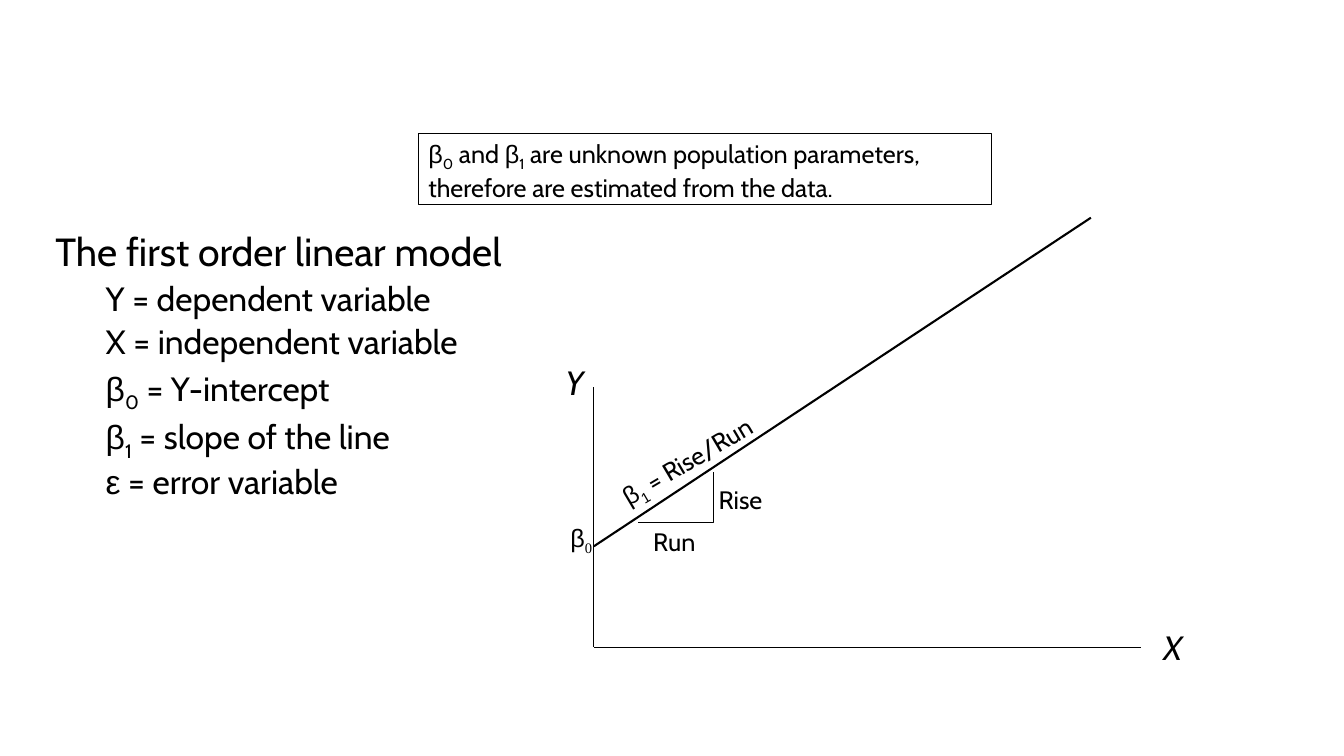
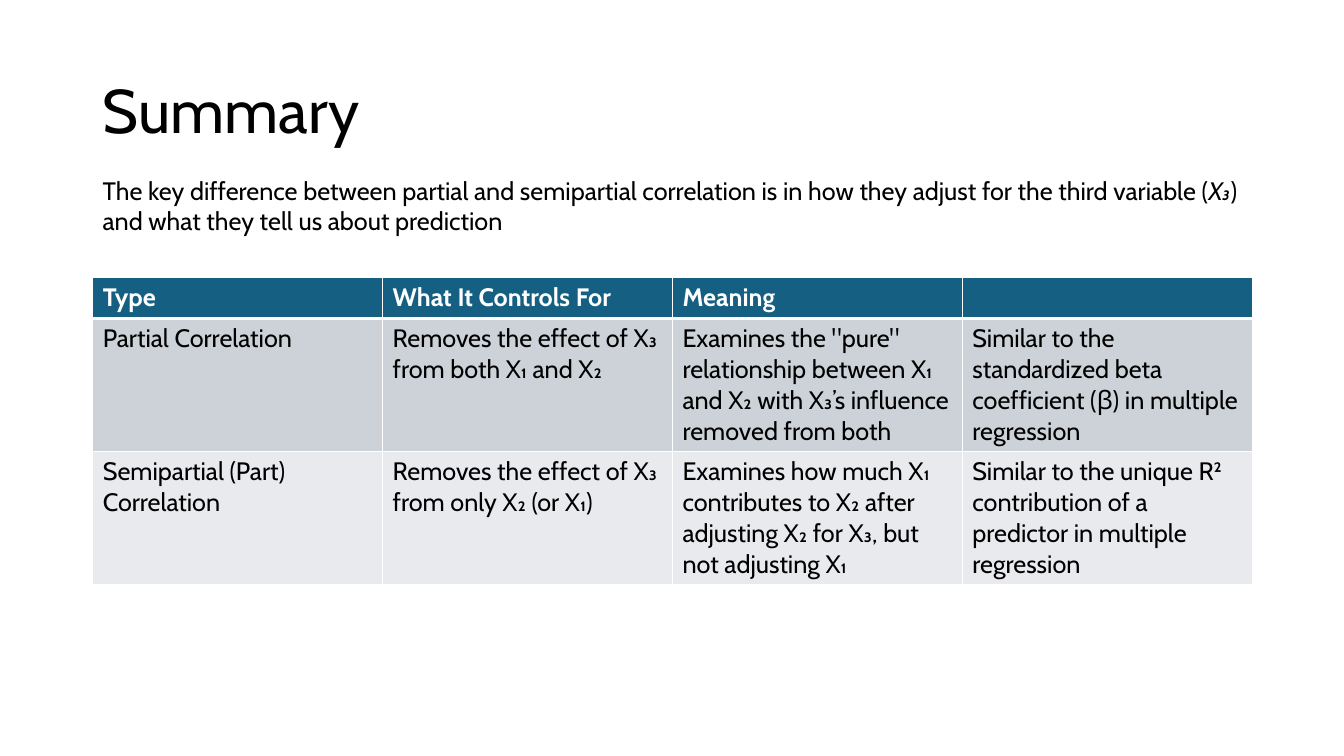
"""Build two slides on the linear model and on partial correlation."""
from dataclasses import dataclass

import pptx
import pptx.dml.color
import pptx.enum.shapes
import pptx.enum.text
import pptx.oxml
import pptx.oxml.ns
import pptx.shapes.connector
import pptx.slide
import pptx.table
import pptx.util
from lxml import etree

PX = 9144
BLACK = pptx.dml.color.RGBColor(0x00, 0x00, 0x00)
WHITE = pptx.dml.color.RGBColor(0xFF, 0xFF, 0xFF)
HEADER = pptx.dml.color.RGBColor(0x15, 0x60, 0x82)
BANDS = (
    pptx.dml.color.RGBColor(0xCC, 0xD2, 0xD8),
    pptx.dml.color.RGBColor(0xE8, 0xEA, 0xED),
)
CABIN = "Cabin"
ARIAL = "Arial"
SERIF = "Times New Roman"
TITLE_SIZE = 44
TEXT_SIZE = 18
AXIS_SIZE = 24
THIN = 0.75
MARGIN = 92
CONTENT_WIDTH = 1150


@dataclass(frozen=True)
class Span:
    text: str
    font: str = CABIN
    subscript: bool = False
    italic: bool = False
    bold: bool = False


@dataclass(frozen=True)
class Line:
    spans: tuple[Span, ...]
    size: int = TEXT_SIZE
    indent: int = 0
    before: int = 0
    spacing: float = 1.0
    color: pptx.dml.color.RGBColor = BLACK


@dataclass(frozen=True)
class TextBox:
    left: int
    top: int
    width: int
    height: int
    lines: tuple[Line, ...]
    wrap: bool = False
    rotation: float = 0
    outlined: bool = False
    middle: bool = False


@dataclass(frozen=True)
class Segment:
    start: tuple[int, int]
    end: tuple[int, int]
    weight: float = THIN


def px(length: int) -> pptx.util.Emu:
    return pptx.util.Emu(length * PX)


def beta(index: int, font: str = CABIN) -> tuple[Span, Span]:
    return Span("β", ARIAL), Span(str(index), font, subscript=True)


def label(*spans: Span, size: int = TEXT_SIZE) -> tuple[Line]:
    return (Line(spans, size),)


def variable(*spans: Span) -> Line:
    return Line(spans, AXIS_SIZE, indent=50, before=5, spacing=0.9)


ORIGIN = (589, 642)
AXES_AND_SLOPE = (
    Segment((589, 384), ORIGIN),
    Segment(ORIGIN, (1132, 642)),
    Segment((589, 542), (1082, 216), 1.5),
)
RISE_AND_RUN = ((633, 518), (708, 518), (708, 468))

MODEL_TEXTS = (
    TextBox(45, 226, 501, 450, (
        Line((Span("The first order linear model"),), 28, before=10, spacing=0.9),
        variable(Span("Y = dependent variable")),
        variable(Span("X = independent variable")),
        variable(*beta(0), Span(" = Y-intercept")),
        variable(*beta(1), Span(" = slope of the line")),
        variable(Span("ε", ARIAL), Span(" = error variable")),
    ), wrap=True),
    TextBox(1144, 617, 40, 50, label(Span("X", italic=True), size=AXIS_SIZE)),
    TextBox(551, 354, 39, 50, label(Span("Y", italic=True), size=AXIS_SIZE)),
    TextBox(556, 513, 42, 40, label(*beta(0, SERIF))),
    TextBox(638, 517, 64, 40, label(Span("Run"))),
    TextBox(703, 476, 67, 40, label(Span("Rise"))),
    TextBox(599, 437, 165, 40, label(*beta(1, ARIAL), Span(" = Rise/Run")), rotation=329.4),
    TextBox(415, 132, 568, 71, label(
        *beta(0), Span(" and "), *beta(1),
        Span(" are unknown population parameters, therefore are estimated from the data."),
    ), wrap=True, outlined=True),
)

SUMMARY_TEXTS = (
    TextBox(MARGIN, 40, CONTENT_WIDTH, 145,
            (Line((Span("Summary"),), TITLE_SIZE, spacing=0.9),), wrap=True, middle=True),
    TextBox(MARGIN, 169, CONTENT_WIDTH, 71, label(
        Span("The key difference between partial and semipartial correlation is in how they "
             "adjust for the third variable ("),
        Span("X₃", italic=True),
        Span(") and what they tell us about prediction"),
    ), wrap=True),
)

TABLE_TOP = 275
ROW_HEIGHTS = (41, 132, 132)
TABLE_ROWS = (
    ("Type", "What It Controls For", "Meaning", ""),
    (
        "Partial Correlation",
        "Removes the effect of X₃ from both X₁ and X₂",
        "Examines the \"pure\" relationship between X₁ and X₂ with X₃’s influence removed from both",
        "Similar to the standardized beta coefficient (β) in multiple regression",
    ),
    (
        "Semipartial (Part) Correlation",
        "Removes the effect of X₃ from only X₂ (or X₁)",
        "Examines how much X₁ contributes to X₂ after adjusting X₂ for X₃, but not adjusting X₁",
        "Similar to the unique R² contribution of a predictor in multiple regression",
    ),
)


def write_lines(frame: pptx.text.text.TextFrame, lines: tuple[Line, ...]) -> None:
    for number, line in enumerate(lines):
        para = frame.add_paragraph() if number else frame.paragraphs[0]
        para.alignment = pptx.enum.text.PP_ALIGN.LEFT
        para.line_spacing = line.spacing
        para.space_before = pptx.util.Pt(line.before)
        if line.indent:
            properties = para._p.get_or_add_pPr()
            properties.set("marL", str(px(line.indent)))
            properties.set("indent", "0")
        for span in line.spans:
            run = para.add_run()
            run.text = span.text
            run.font.name = span.font
            run.font.size = pptx.util.Pt(line.size)
            run.font.italic = span.italic
            run.font.bold = span.bold
            run.font.color.rgb = line.color
            if span.subscript:
                run._r.get_or_add_rPr().set("baseline", "-25000")


def draw_text(page: pptx.slide.Slide, text: TextBox) -> None:
    box = page.shapes.add_textbox(px(text.left), px(text.top), px(text.width), px(text.height))
    box.rotation = text.rotation
    frame = box.text_frame
    frame.word_wrap = text.wrap
    if not text.wrap:
        frame.auto_size = pptx.enum.text.MSO_AUTO_SIZE.SHAPE_TO_FIT_TEXT
    if text.middle:
        frame.vertical_anchor = pptx.enum.text.MSO_ANCHOR.MIDDLE
    if text.outlined:
        box.line.color.rgb = BLACK
        box.line.width = pptx.util.Pt(THIN)
    write_lines(frame, text.lines)


def draw_segment(page: pptx.slide.Slide, segment: Segment) -> None:
    ends = (px(length) for length in segment.start + segment.end)
    connector = page.shapes.add_connector(pptx.enum.shapes.MSO_CONNECTOR.STRAIGHT, *ends)
    connector.line.color.rgb = BLACK
    connector.line.width = pptx.util.Pt(segment.weight)
    etree.SubElement(connector._element.spPr, pptx.oxml.ns.qn("a:effectLst"))


def draw_open_path(page: pptx.slide.Slide, points: tuple[tuple[int, int], ...]) -> None:
    builder = page.shapes.build_freeform(*points[0], scale=PX)
    builder.add_line_segments(points[1:], close=False)
    outline = builder.convert_to_shape()
    outline.shadow.inherit = False
    outline.fill.background()
    outline.line.color.rgb = BLACK
    outline.line.width = pptx.util.Pt(THIN)


def set_borders(cell: pptx.table._Cell, bottom: int) -> None:
    properties = cell._tc.get_or_add_tcPr()
    widths = {"lnL": 1, "lnR": 1, "lnT": 1, "lnB": bottom}
    for position, (side, width) in enumerate(widths.items()):
        border = etree.Element(pptx.oxml.ns.qn(f"a:{side}"), w=str(pptx.util.Pt(width)))
        fill = etree.SubElement(border, pptx.oxml.ns.qn("a:solidFill"))
        etree.SubElement(fill, pptx.oxml.ns.qn("a:srgbClr"), val=str(WHITE))
        properties.insert(position, border)


def draw_table(page: pptx.slide.Slide) -> None:
    table = page.shapes.add_table(
        len(TABLE_ROWS), len(TABLE_ROWS[0]),
        px(MARGIN), px(TABLE_TOP), px(CONTENT_WIDTH), px(sum(ROW_HEIGHTS)),
    ).table
    table.horz_banding = False
    for number, (texts, height) in enumerate(zip(TABLE_ROWS, ROW_HEIGHTS)):
        table.rows[number].height = px(height)
        is_header = number == 0
        for column, text in enumerate(texts):
            cell = table.cell(number, column)
            cell.fill.solid()
            cell.fill.fore_color.rgb = HEADER if is_header else BANDS[number - 1]
            set_borders(cell, bottom=3 if is_header else 1)
            if text:
                color = WHITE if is_header else BLACK
                write_lines(cell.text_frame, (Line((Span(text, bold=is_header),), color=color),))


def add_page(deck: pptx.presentation.Presentation, texts: tuple[TextBox, ...]) -> pptx.slide.Slide:
    page = deck.slides.add_slide(deck.slide_layouts[6])
    for text in texts:
        draw_text(page, text)
    return page


def main() -> None:
    deck = pptx.Presentation()
    deck.slide_width, deck.slide_height = px(1333), px(750)

    model = add_page(deck, MODEL_TEXTS)
    for segment in AXES_AND_SLOPE:
        draw_segment(model, segment)
    draw_open_path(model, RISE_AND_RUN)

    summary = add_page(deck, SUMMARY_TEXTS)
    draw_table(summary)

    deck.save("out.pptx")


if __name__ == "__main__":
    main()
